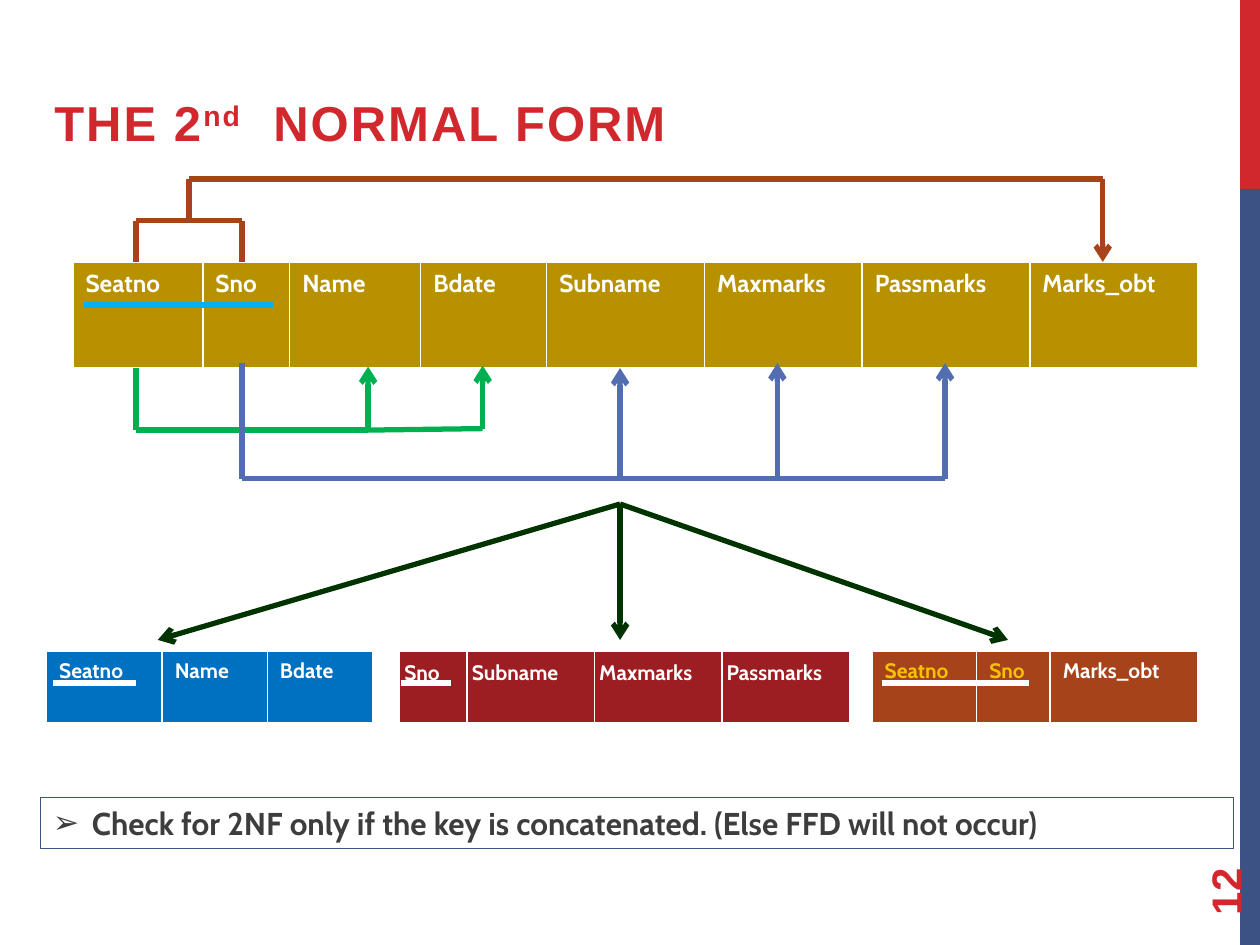
from dataclasses import dataclass
from itertools import pairwise

from lxml.etree import SubElement
from pptx import Presentation
from pptx.dml.color import RGBColor
from pptx.enum.shapes import MSO_CONNECTOR as Connector, MSO_SHAPE as Preset
from pptx.enum.text import MSO_ANCHOR as Anchor, MSO_AUTO_SIZE as AutoSize, PP_ALIGN as Align
from pptx.oxml.ns import qn
from pptx.util import Cm, Pt

COLORS = {
    "red": "D1282E", "navy": "3C5184", "gold": "B89101", "green": "00B050",
    "blue": "526DB0", "brown": "A6431A", "dark": "003300", "azure": "0070C0",
    "crimson": "9D1E22", "yellow": "F5C201", "cyan": "00B0F0",
    "white": "FFFFFF", "gray": "3D3D3D",
}


@dataclass
class Relation:
    """A one-row table of column names, measured in cm."""
    left: float
    top: float
    height: float
    fill: str
    size: int
    columns: dict[str, float]
    underlined: str = ""
    yellow: tuple[str, ...] = ()
    inset: float | None = None
    spacing: float | None = None


@dataclass
class Route:
    """A chain of straight lines through points in cm."""
    color: str
    points: list[tuple[float, float]]
    arrow: bool = False


SEAT, SNO, NAME, BDATE, SUBJECT, MAXIMUM, PASS, MARKS = (
    2.74, 4.88, 7.42, 9.73, 12.5, 15.67, 19.05, 22.23)
FORK = (SUBJECT, 10.16)

RELATIONS = [
    Relation(1.47, 5.29, 2.15, "gold", 14, {
        "Seatno": 2.62, "Sno": 1.75, "Name": 2.64, "Bdate": 2.54,
        "Subname": 3.18, "Maxmarks": 3.18, "Passmarks": 3.38, "Marks_obt": 3.38}),
    Relation(0.94, 13.13, 1.47, "azure", 12,
             {"Seatno": 2.33, "Name": 2.12, "Bdate": 2.12}, underlined="Seatno"),
    Relation(17.58, 13.13, 1.47, "brown", 12,
             {"Seatno": 2.11, "Sno": 1.48, "Marks_obt": 2.97}, yellow=("Seatno", "Sno")),
    Relation(8.05, 13.13, 1.47, "crimson", 12,
             {"Sno": 1.36, "Subname": 2.57, "Maxmarks": 2.57, "Passmarks": 2.58},
             underlined="Sno", inset=0.1, spacing=1.15),
]

DEPENDENCIES = [
    Route("green", [(SEAT, 7.42), (SEAT, 8.67), (NAME, 8.67), (NAME, 7.39)], True),
    Route("green", [(NAME, 8.67), (BDATE, 8.64), (BDATE, 7.37)], True),
    Route("blue", [(SUBJECT, 9.65), (SUBJECT, 7.42)], True),
    Route("blue", [(SNO, 7.32), (SNO, 9.65), (PASS, 9.65), (PASS, 7.32)], True),
    Route("blue", [(MAXIMUM, 9.65), (MAXIMUM, 7.32)], True),
    Route("brown", [(SEAT, 5.28), (SEAT, 4.45), (SNO, 4.45), (SNO, 5.28)]),
    Route("brown", [(3.81, 4.45), (3.81, 3.61), (MARKS, 3.61), (MARKS, 5.28)], True),
    *(Route("dark", [FORK, (x, 12.9)], True) for x in (3.18, SUBJECT, 20.32)),
]

KEY_LINES = [
    Route(color, [(start, y), (end, y)])
    for color, start, end, y in (
        ("cyan", 1.7, 5.51, 6.15), ("white", 17.78, 20.75, 13.77),
        ("white", 8.08, 9.09, 13.77), ("white", 1.07, 2.74, 13.77))
]


def rgb(name: str) -> RGBColor:
    """Look up a colour by name."""
    return RGBColor.from_string(COLORS[name])


def style_font(para, face: str, size: int, color: str) -> None:
    """Set the bold font shared by all spans of a paragraph."""
    font = para.font
    font.name, font.size, font.bold = face, Pt(size), True
    font.color.rgb = rgb(color)


def place(shape, left: float, top: float, width: float, height: float) -> None:
    """Move and size a shape, in cm."""
    shape.left, shape.top = Cm(left), Cm(top)
    shape.width, shape.height = Cm(width), Cm(height)


def add_bar(page, top: float, height: float, color: str) -> None:
    """Draw one part of the band on the right edge."""
    bar = page.shapes.add_shape(Preset.RECTANGLE, Cm(25), Cm(top), Cm(0.4), Cm(height))
    bar.shadow.inherit = False
    bar.fill.solid()
    bar.fill.fore_color.rgb = rgb(color)
    bar.line.fill.background()


def add_page_number(page) -> None:
    """Write the upright page number."""
    box = page.shapes.add_textbox(Cm(22.86), Cm(16.36), Cm(3.66), Cm(1.02))
    box.rotation = 270
    frame = box.text_frame
    frame.word_wrap = True
    frame.vertical_anchor = Anchor.MIDDLE
    frame.text = "12"
    style_font(frame.paragraphs[0], "Arial", 24, "red")


def fill_title(title) -> None:
    """Write the title with its raised ordinal."""
    place(title, 0.84, 1.47, 21.39, 1.7)
    frame = title.text_frame
    frame.auto_size = AutoSize.NONE
    frame.vertical_anchor = Anchor.BOTTOM
    para = frame.paragraphs[0]
    para.alignment = Align.LEFT
    style_font(para, "Arial", 28, "red")
    for text, baseline in (("THE 2", 0), ("nd", 30000), ("  NORMAL FORM", 0)):
        span = para.add_run()
        span.text = text
        properties = span.font._element
        properties.set("spc", "120")
        properties.set("baseline", str(baseline))


def fill_note(note) -> None:
    """Write the framed bullet below the tables."""
    place(note, 0.81, 16.08, 24.05, 1.02)
    note.line.color.rgb = rgb("navy")
    note.line.width = Pt(0.75)
    frame = note.text_frame
    frame.auto_size = AutoSize.NONE
    frame.text = "Check for 2NF only if the key is concatenated. (Else FFD will not occur)"
    para = frame.paragraphs[0]
    para.space_before = Pt(0)
    properties = para._p.get_or_add_pPr()
    properties.set("marL", str(Cm(0.79)))
    properties.set("indent", str(-Cm(0.79)))
    SubElement(properties, qn("a:buChar")).set("char", "➢")
    style_font(para, "Cabin", 18, "gray")


def set_borders(cell) -> None:
    """Give a cell white borders, the bottom one thick."""
    properties = cell._tc.get_or_add_tcPr()
    for index, (side, width) in enumerate((("L", 1), ("R", 1), ("T", 1), ("B", 3))):
        border = SubElement(properties, qn(f"a:ln{side}"), w=str(Pt(width)))
        fill = SubElement(border, qn("a:solidFill"))
        SubElement(fill, qn("a:srgbClr"), val=COLORS["white"])
        properties.insert(index, border)


def add_relation(page, relation: Relation) -> None:
    """Draw a relation as a one-row table."""
    widths = relation.columns.values()
    table = page.shapes.add_table(
        1, len(widths), Cm(relation.left), Cm(relation.top),
        Cm(sum(widths)), Cm(relation.height)).table
    for column, cell, (name, width) in zip(
            table.columns, table.rows[0].cells, relation.columns.items()):
        column.width = Cm(width)
        cell.fill.solid()
        cell.fill.fore_color.rgb = rgb(relation.fill)
        set_borders(cell)
        if relation.inset is not None:
            cell.margin_left = cell.margin_right = Cm(relation.inset)
            cell.margin_top = cell.margin_bottom = Cm(relation.inset)
        cell.text = name
        para = cell.text_frame.paragraphs[0]
        para.line_spacing = relation.spacing
        style_font(para, "Cabin", relation.size,
                   "yellow" if name in relation.yellow else "white")
        para.font.underline = name == relation.underlined


def add_route(page, route: Route) -> None:
    """Draw a route, with an arrowhead on its last line if asked."""
    for start, end in pairwise(route.points):
        line = page.shapes.add_connector(
            Connector.STRAIGHT, *(Cm(value) for value in (*start, *end)))
        line.line.color.rgb = rgb(route.color)
        line.line.width = Pt(3)
        SubElement(line._element.spPr, qn("a:effectLst"))
    if route.arrow:
        SubElement(line.line._get_or_add_ln(), qn("a:tailEnd"), type="arrow")


def main() -> None:
    """Build and save the slide."""
    deck = Presentation()
    deck.slide_width, deck.slide_height = Cm(25.4), Cm(19.05)
    page = deck.slides.add_slide(deck.slide_layouts[1])
    add_bar(page, 0, 3.81, "red")
    add_bar(page, 3.81, 15.24, "navy")
    add_page_number(page)
    fill_title(page.shapes.title)
    fill_note(page.placeholders[1])
    for relation in RELATIONS:
        add_relation(page, relation)
    for route in DEPENDENCIES + KEY_LINES:
        add_route(page, route)
    deck.save("out.pptx")


main()
